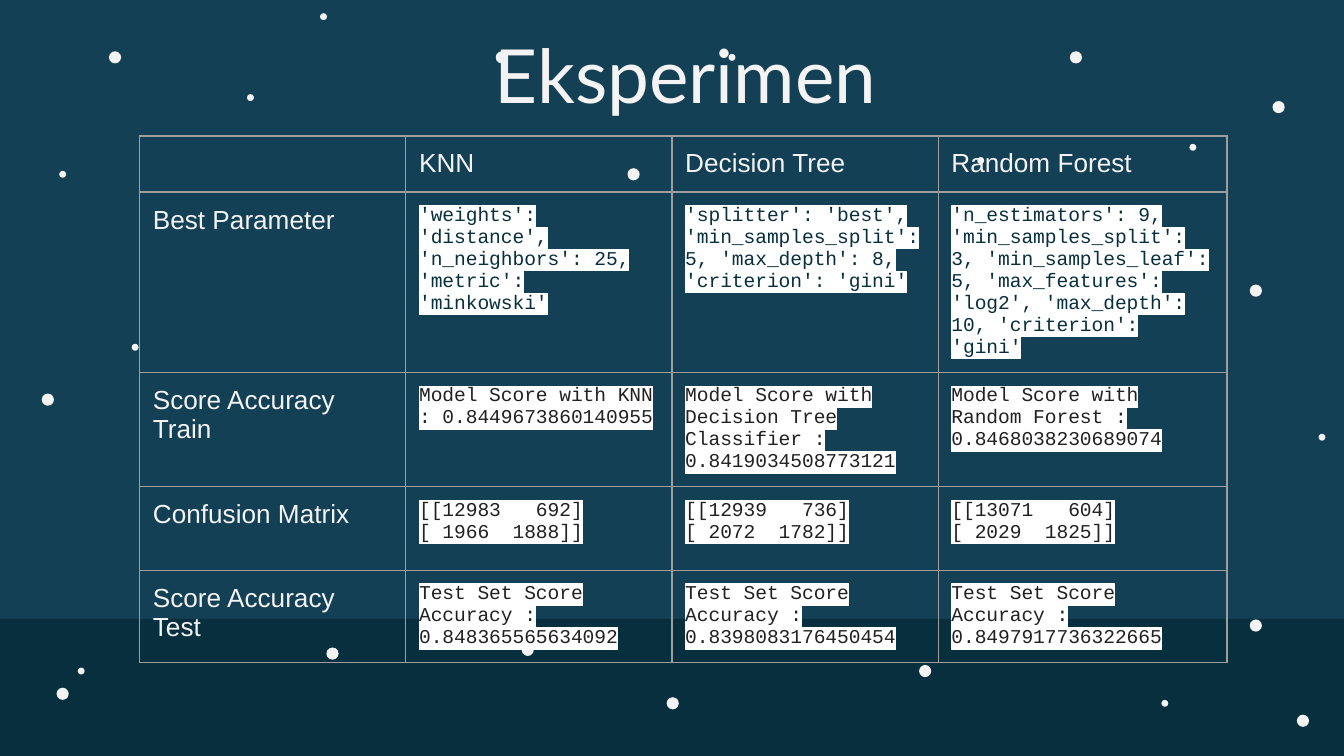
import dataclasses

import lxml.etree
import pptx
import pptx.dml.color
import pptx.enum.shapes
import pptx.enum.text
import pptx.oxml.ns
import pptx.util
from pptx.util import Cm


@dataclasses.dataclass(frozen=True)
class TextStyle:
    font: str
    size: float
    color: str
    highlight: str = ""


@dataclasses.dataclass(frozen=True)
class Theme:
    sky: str = "144055"
    ground: str = "082F3D"
    snow: str = "F3F3F3"
    border: str = "9E9E9E"
    border_width: float = 0.75
    title: TextStyle = TextStyle("Lato", 40, "F3F3F3")
    label: TextStyle = TextStyle("Arial", 14, "F3F3F3")
    parameters: TextStyle = TextStyle("Courier New", 10.5, "082F3D", "FFFFFF")
    output: TextStyle = TextStyle("Courier New", 10.5, "212121", "FFFFFF")


def rgb(color):
    return pptx.dml.color.RGBColor.from_string(color)


def add_element(parent, tag, **attributes):
    return lxml.etree.SubElement(parent, pptx.oxml.ns.qn(tag), attributes)


class SlideBuilder:
    def __init__(self, slide, theme):
        self.slide = slide
        self.theme = theme

    def background(self):
        fill = self.slide.background.fill
        fill.solid()
        fill.fore_color.rgb = rgb(self.theme.sky)

    def shape(self, kind, left, top, width, height, color):
        shape = self.slide.shapes.add_shape(kind, Cm(left), Cm(top), Cm(width), Cm(height))
        shape.shadow.inherit = False
        shape.fill.solid()
        shape.fill.fore_color.rgb = rgb(color)
        shape.line.fill.background()

    def snow(self, positions, diameter):
        oval = pptx.enum.shapes.MSO_SHAPE.OVAL
        for left, top in positions:
            self.shape(oval, left, top, diameter, diameter, self.theme.snow)

    def styled_text(self, text_frame, text, style):
        text_frame.text = text
        for paragraph in text_frame.paragraphs:
            paragraph.font.name = style.font
            paragraph.font.size = pptx.util.Pt(style.size)
            paragraph.font.color.rgb = rgb(style.color)
            if style.highlight:
                for run in paragraph.runs:
                    highlight = add_element(run._r.get_or_add_rPr(), "a:highlight")
                    add_element(highlight, "a:srgbClr", val=style.highlight)

    def title(self, text, left, top, width, height):
        title = self.slide.shapes.title
        title.left, title.top, title.width, title.height = map(Cm, (left, top, width, height))
        frame = title.text_frame
        frame.auto_size = pptx.enum.text.MSO_AUTO_SIZE.NONE
        frame.vertical_anchor = pptx.enum.text.MSO_ANCHOR.TOP
        frame.margin_left = frame.margin_right = Cm(0.25)
        frame.margin_top = frame.margin_bottom = Cm(0.25)
        self.styled_text(frame, text, self.theme.title)
        frame.paragraphs[0].alignment = pptx.enum.text.PP_ALIGN.CENTER

    def cell_borders(self, cell):
        properties = cell._tc.get_or_add_tcPr()
        width = str(pptx.util.Pt(self.theme.border_width))
        for position, side in enumerate(("a:lnL", "a:lnR", "a:lnT", "a:lnB")):
            line = add_element(properties, side, w=width)
            fill = add_element(line, "a:solidFill")
            add_element(fill, "a:srgbClr", val=self.theme.border)
            properties.insert(position, line)

    def table(self, rows, left, top, widths, heights):
        """Draw rows of the form (text style of the values, label, values...)."""
        frame = self.slide.shapes.add_table(
            len(heights), len(widths), Cm(left), Cm(top), Cm(sum(widths)), Cm(sum(heights)))
        table = frame.table
        table.first_row = table.horz_banding = False
        for column, width in zip(table.columns, widths):
            column.width = Cm(width)
        for row, height, (style, *texts) in zip(table.rows, heights, rows):
            row.height = Cm(height)
            for index, (cell, text) in enumerate(zip(row.cells, texts)):
                cell.margin_left = cell.margin_right = Cm(0.25)
                cell.margin_top = cell.margin_bottom = Cm(0.25)
                cell.fill.background()
                self.cell_borders(cell)
                self.styled_text(cell.text_frame, text, style if index else self.theme.label)


def matrix(top_left, top_right, bottom_left, bottom_right):
    """Print a 2 by 2 matrix with right-aligned columns."""
    return f"[[{top_left:5}{top_right:6}]\n[{bottom_left:5}{bottom_right:6}]]"


LARGE_FLAKES = [
    (2.06, 0.97), (23.62, 5.38), (20.22, 0.97), (17.37, 12.57), (9.37, 0.97),
    (24.51, 13.51), (0.79, 7.44), (24.05, 1.91), (12.6, 13.18), (23.62, 11.71),
    (6.17, 12.24), (1.07, 13), (11.86, 3.18), (9.86, 12.17),
]
SMALL_FLAKES = [
    (1.12, 3.23), (22.48, 2.72), (21.95, 13.23), (18.47, 2.97), (1.47, 12.62),
    (13.77, 1.02), (6.05, 0.25), (4.67, 1.78), (2.49, 6.5), (24.92, 8.2),
]


def main():
    presentation = pptx.Presentation()
    presentation.slide_width = Cm(25.4)
    presentation.slide_height = Cm(14.29)
    title_only = presentation.slide_layouts.get_by_name("Title Only")
    theme = Theme()
    builder = SlideBuilder(presentation.slides.add_slide(title_only), theme)

    builder.background()
    builder.shape(pptx.enum.shapes.MSO_SHAPE.RECTANGLE, 0, 11.7, 25.4, 2.59, theme.ground)
    builder.snow(LARGE_FLAKES, 0.23)
    builder.snow(SMALL_FLAKES, 0.13)
    builder.title("Eksperimen", 2.01, 0.3, 21.89, 2.69)

    rows = [
        (theme.label, "", "KNN", "Decision Tree", "Random Forest"),
        (theme.parameters, "Best Parameter",
         "'weights': 'distance', 'n_neighbors': 25, 'metric': 'minkowski'",
         "'splitter': 'best', 'min_samples_split': 5, 'max_depth': 8, 'criterion': 'gini'",
         "'n_estimators': 9, 'min_samples_split': 3, 'min_samples_leaf': 5, "
         "'max_features': 'log2', 'max_depth': 10, 'criterion': 'gini'"),
        (theme.output, "Score Accuracy Train",
         "Model Score with KNN : 0.8449673860140955",
         "Model Score with Decision Tree Classifier : 0.8419034508773121",
         "Model Score with Random Forest : 0.8468038230689074"),
        (theme.output, "Confusion Matrix",
         matrix(12983, 692, 1966, 1888),
         matrix(12939, 736, 2072, 1782),
         matrix(13071, 604, 2029, 1825)),
        (theme.output, "Score Accuracy\nTest",
         *(f"Test Set Score Accuracy : {score}" for score in
           ("0.848365565634092", "0.8398083176450454", "0.8497917736322665"))),
    ]
    builder.table(rows, 2.64, 2.57, [5.03] * 3 + [5.46], [1.06, 3.41, 2.16, 1.58, 1.74])
    presentation.save("out.pptx")


if __name__ == "__main__":
    main()
